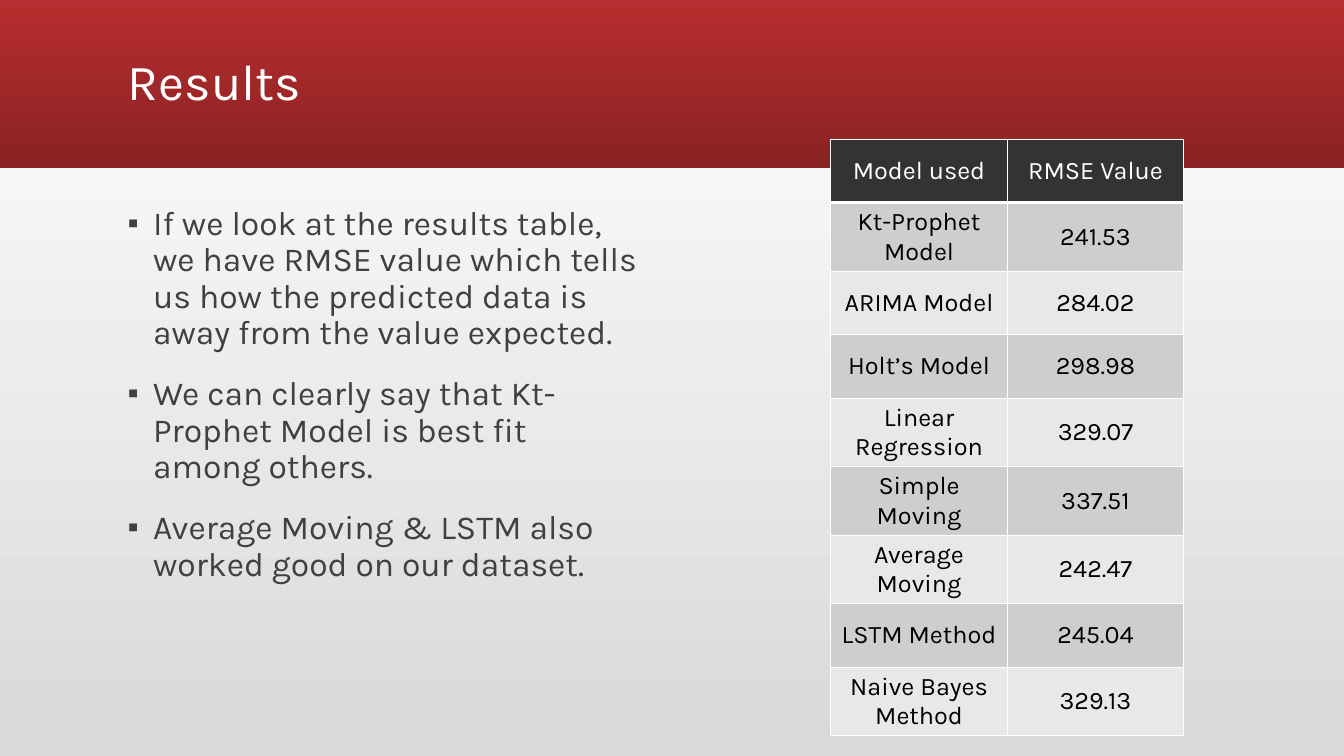
"""Build the results slide: key findings beside a table of RMSE values."""
from dataclasses import dataclass

from lxml import etree
from pptx import Presentation
from pptx.dml.color import RGBColor
from pptx.enum.shapes import MSO_SHAPE
from pptx.enum.text import MSO_ANCHOR, PP_ALIGN
from pptx.oxml.ns import qn
from pptx.util import Inches, Pt

RECTANGLE = MSO_SHAPE.RECTANGLE
TOP, MIDDLE = MSO_ANCHOR.TOP, MSO_ANCHOR.MIDDLE
LEFT, CENTER = PP_ALIGN.LEFT, PP_ALIGN.CENTER

TITLE = "Results"
FINDINGS = [
    "If we look at the results table, we have RMSE value which tells us how "
    "the predicted data is away from the value expected.",
    "We can clearly say that Kt-Prophet Model is best fit among others.",
    "Average Moving & LSTM also worked good on our dataset.",
]
RESULTS = [
    ("Model used", "RMSE Value"),
    ("Kt-Prophet Model", "241.53"),
    ("ARIMA Model", "284.02"),
    ("Holt’s Model", "298.98"),
    ("Linear Regression", "329.07"),
    ("Simple Moving", "337.51"),
    ("Average Moving", "242.47"),
    ("LSTM Method", "245.04"),
    ("Naive Bayes Method", "329.13"),
]

WIDTH, HEIGHT = 13.33, 7.5
BANNER_HEIGHT = 1.67
MARGIN = 1.17
TABLE_LEFT, TABLE_TOP = 8.24, 1.38
COLUMN_WIDTH, ROW_HEIGHT = 1.75, 0.63
CELL_PADDING = 0.04
BULLET_INDENT = 0.25


@dataclass(frozen=True)
class Theme:
    font: str = "Karla"
    title_size: int = 36
    body_size: int = 24
    table_size: int = 18
    bullet_percent: int = 80
    white: str = "FFFFFF"
    black: str = "000000"
    body: str = "404040"
    header: str = "333333"
    bands: tuple = ("E8E8E8", "CECECE")
    backdrop: tuple = ("D9D9D9", "FFFFFF")
    banner: tuple = ("B82D2F", "8A2223")


THEME = Theme()


def fill_gradient(fill, colors, angle):
    fill.gradient()
    fill.gradient_angle = angle
    for stop, color in zip(fill.gradient_stops, colors):
        stop.color.rgb = RGBColor.from_string(color)


def add_bullet(paragraph):
    properties = paragraph._p.get_or_add_pPr()
    properties.set("marL", str(Inches(BULLET_INDENT)))
    properties.set("indent", str(-Inches(BULLET_INDENT)))
    etree.SubElement(properties, qn("a:buSzPct"), val=str(THEME.bullet_percent * 1000))
    etree.SubElement(properties, qn("a:buFont"), typeface=THEME.font)
    etree.SubElement(properties, qn("a:buChar"), char="▪")


def write_text(frame, lines, *, size, color, align=LEFT, anchor=TOP,
               line_spacing=None, space_before=None, bullets=False):
    frame.word_wrap = True
    frame.vertical_anchor = anchor
    for index, line in enumerate(lines):
        paragraph = frame.add_paragraph() if index else frame.paragraphs[0]
        paragraph.alignment = align
        if line_spacing is not None:
            paragraph.line_spacing = line_spacing
        if space_before is not None:
            paragraph.space_before = Pt(space_before)
        if bullets:
            add_bullet(paragraph)
        run = paragraph.add_run()
        run.text = line
        run.font.name = THEME.font
        run.font.size = Pt(size)
        run.font.color.rgb = RGBColor.from_string(color)


def add_text_box(slide, left, top, width, height, lines, **text_format):
    box = slide.shapes.add_textbox(*map(Inches, (left, top, width, height)))
    write_text(box.text_frame, lines, **text_format)


def style_cell(cell, fill_color, bottom_width):
    cell.vertical_anchor = MIDDLE
    cell.margin_top = cell.margin_bottom = Inches(CELL_PADDING)
    properties = cell._tc.get_or_add_tcPr()
    for side, width in (("L", 1), ("R", 1), ("T", 1), ("B", bottom_width)):
        border = etree.SubElement(properties, qn(f"a:ln{side}"), w=str(Pt(width)))
        solid = etree.SubElement(border, qn("a:solidFill"))
        etree.SubElement(solid, qn("a:srgbClr"), val=THEME.white)
    cell.fill.solid()
    cell.fill.fore_color.rgb = RGBColor.from_string(fill_color)


def add_results_table(slide):
    rows, columns = len(RESULTS), len(RESULTS[0])
    frame = slide.shapes.add_table(
        rows, columns, Inches(TABLE_LEFT), Inches(TABLE_TOP),
        Inches(columns * COLUMN_WIDTH), Inches(rows * ROW_HEIGHT))
    table = frame.table
    for column in table.columns:
        column.width = Inches(COLUMN_WIDTH)
    for row_index, values in enumerate(RESULTS):
        table.rows[row_index].height = Inches(ROW_HEIGHT)
        is_header = row_index == 0
        fill_color = THEME.header if is_header else THEME.bands[row_index % 2]
        for column_index, value in enumerate(values):
            cell = table.cell(row_index, column_index)
            write_text(cell.text_frame, [value], size=THEME.table_size,
                       color=THEME.white if is_header else THEME.black, align=CENTER)
            style_cell(cell, fill_color, 3 if is_header else 1)


def main():
    presentation = Presentation()
    presentation.slide_width = Inches(WIDTH)
    presentation.slide_height = Inches(HEIGHT)
    slide = presentation.slides.add_slide(presentation.slide_layouts[6])
    fill_gradient(slide.background.fill, THEME.backdrop, 90)

    banner = slide.shapes.add_shape(RECTANGLE, 0, 0, Inches(WIDTH), Inches(BANNER_HEIGHT))
    banner.shadow.inherit = False
    banner.line.fill.background()
    fill_gradient(banner.fill, THEME.banner, 270)

    add_text_box(slide, MARGIN, 0.11, WIDTH - 2 * MARGIN, 1.45, [TITLE],
                 size=THEME.title_size, color=THEME.white, anchor=MIDDLE,
                 line_spacing=0.9)
    add_text_box(slide, MARGIN, 2, 5.25, 5, FINDINGS,
                 size=THEME.body_size, color=THEME.body, line_spacing=0.9,
                 space_before=18, bullets=True)
    add_results_table(slide)
    presentation.save("out.pptx")


if __name__ == "__main__":
    main()
